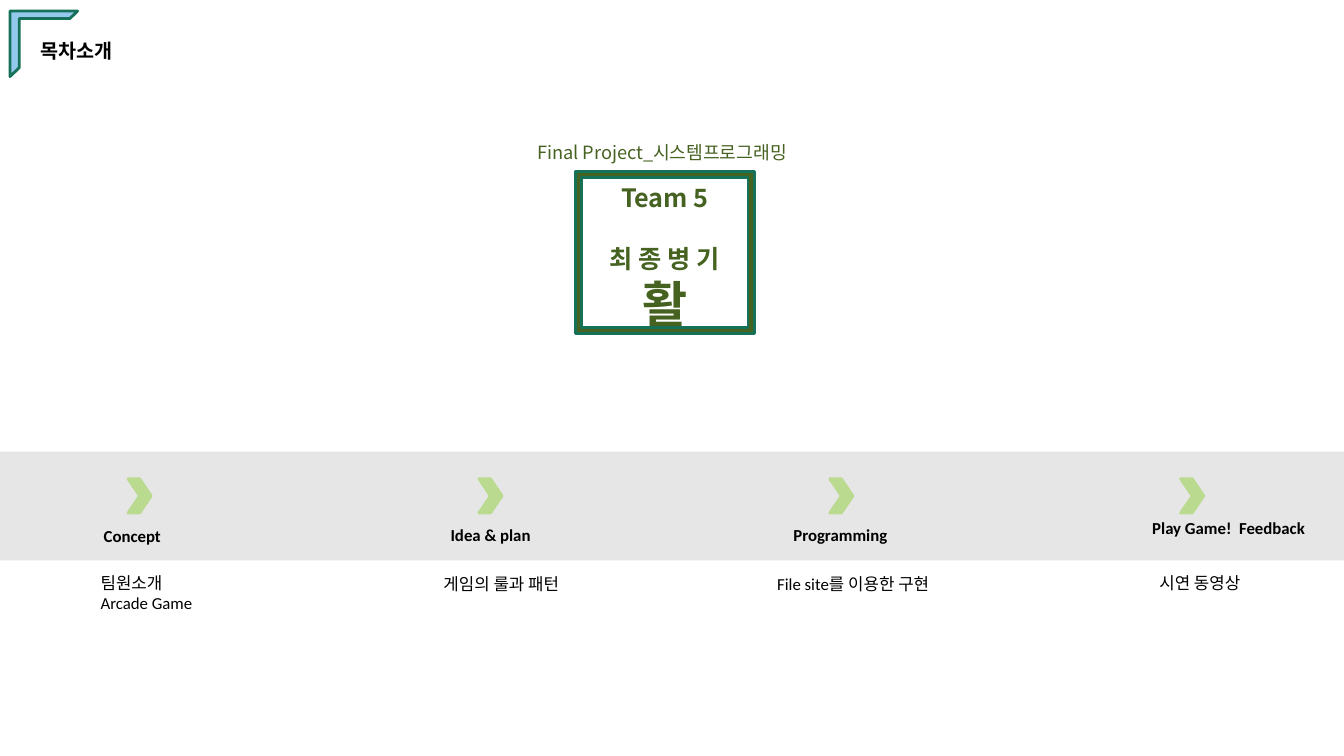
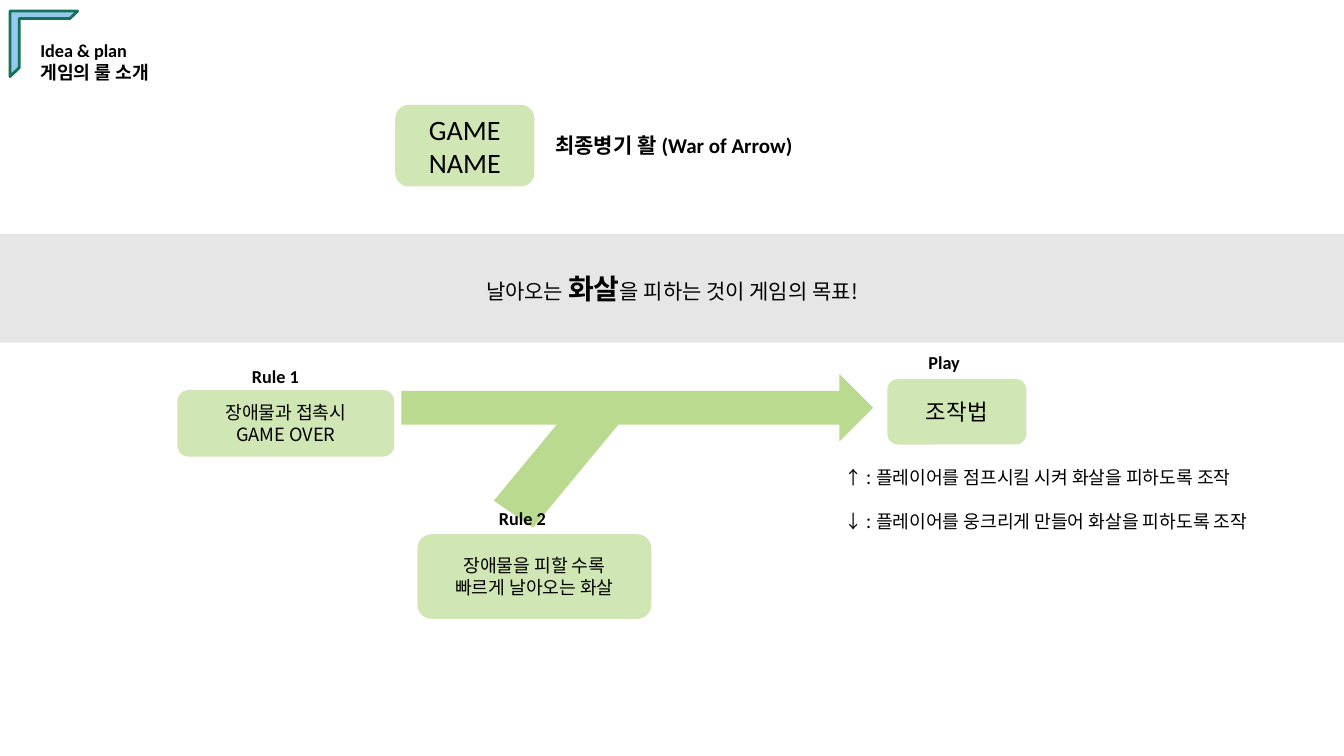
from lxml.etree import SubElement
from pptx import Presentation
from pptx.dml.color import RGBColor
from pptx.enum.shapes import MSO_SHAPE
from pptx.enum.text import MSO_ANCHOR, MSO_AUTO_SIZE, PP_ALIGN
from pptx.oxml.ns import qn
from pptx.util import Emu, Pt

PX = 9144  # 100 px to the inch
WIDE, HIGH = 1333, 750
LATIN, HANGUL = "Calibri", "Noto Sans CJK KR"

BLACK = RGBColor(0x00, 0x00, 0x00)
GRAY = RGBColor(0xE7, 0xE6, 0xE6)
OLIVE = RGBColor(0x46, 0x62, 0x21)
TEAL = RGBColor(0x15, 0x71, 0x58)
SKY = RGBColor(0x94, 0xC8, 0xED)
GREEN = RGBColor(0xB9, 0xDA, 0x8F)
PALE = RGBColor(0xD1, 0xE6, 0xB5)

# label, label left and top, label width, details, details left and top, width
TOPICS = [
    ("Concept", 93, 517, 127, ["팀원소개", "Arcade Game"], 90, 563, 164),
    ("Idea & plan", 437, 516, 131, ["게임의 룰과 패턴"], 430, 564, 164),
    ("Programming", 777, 516, 148, ["File site를 이용한 구현"], 761, 564, 187),
    ("Play Game!  Feedback", 1133, 509, 176, ["시연 동영상"], 1140, 563, 111),
]
CARDS = [
    ((176, 387, 215, 66), ["장애물과 접촉시", "GAME OVER"], 13, HANGUL),
    ((392, 104, 138, 81), ["GAME", "NAME"], 20, LATIN),
    ((414, 530, 232, 84), ["장애물을 피할 수록", "빠르게 날아오는 화살"], 13, LATIN),
    ((880, 376, 138, 65), ["조작법"], 16, LATIN),
]
TAGS = [("Rule 1", 240, 357), ("Rule 2", 485, 498), ("Play", 911, 344)]


def scale(box):
    return [Emu(v * PX) for v in box]


def write(frame, lines, size, name=LATIN, bold=False, color=BLACK,
          align=PP_ALIGN.LEFT, gaps=None):
    """Fill a frame; a line is a string or a list of (text, changed values).

    gaps gives the points of space before a line, by its index.
    """
    base = {"size": size, "name": name, "bold": bold}
    for i, line in enumerate(lines):
        para = frame.paragraphs[0] if i == 0 else frame.add_paragraph()
        para.alignment = align
        para.space_before = Pt((gaps or {}).get(i, 0))
        runs = [(line, {})] if isinstance(line, str) else line
        tall = max(diff.get("size", size) for _, diff in runs)
        para.line_spacing = Pt(round(tall * 1.2, 1))
        for text, diff in runs:
            run = para.add_run()
            run.text = text
            form = {**base, **diff}
            form["size"] = Pt(form["size"])
            for key, value in form.items():
                setattr(run.font, key, value)
            run.font.color.rgb = color
            SubElement(run.font._element, qn("a:ea"), typeface=HANGUL)


def add_text(slide, box, lines, size, wrap=True, **form):
    frame = slide.shapes.add_textbox(*scale(box)).text_frame
    frame.word_wrap = wrap
    write(frame, lines, size, **form)


def add_form(slide, kind, box, fill, line=None, adjust=(), turn=0):
    form = slide.shapes.add_shape(kind, *scale(box))
    form.shadow.inherit = False
    form.fill.solid()
    form.fill.fore_color.rgb = fill
    if line is None:
        form.line.fill.background()
    else:
        form.line.color.rgb = line
        form.line.width = Pt(2)
    for i, value in enumerate(adjust):
        form.adjustments[i] = value
    form.rotation = turn
    return form


def add_band(slide, top):
    return add_form(slide, MSO_SHAPE.RECTANGLE, (0, top, WIDE, 108), GRAY)


def add_card(slide, box, lines, size, name):
    card = add_form(slide, MSO_SHAPE.ROUNDED_RECTANGLE, box, PALE)
    write(card.text_frame, lines, size, name=name, align=PP_ALIGN.CENTER)


def start(deck, lines, size, height):
    """Add a slide with its corner mark and title."""
    slide = deck.slides.add_slide(deck.slide_layouts[5])
    add_form(slide, MSO_SHAPE.HALF_FRAME, (10, 11, 67, 65), SKY, TEAL,
             (0.115, 0.141))
    title = slide.shapes.title
    spots = scale((30, 34, 160, height))
    for key, value in zip(("left", "top", "width", "height"), spots):
        setattr(title, key, value)
    frame = title.text_frame
    frame.auto_size = MSO_AUTO_SIZE.NONE
    frame.vertical_anchor = MSO_ANCHOR.TOP
    write(frame, lines, size, bold=True)
    return slide


def add_agenda(deck):
    slide = start(deck, ["목차소개"], 14, 33)
    badge = add_form(slide, MSO_SHAPE.FRAME, (571, 170, 177, 161), OLIVE,
                     TEAL, (0.038,))
    badge.text_frame.vertical_anchor = MSO_ANCHOR.TOP
    write(badge.text_frame,
          ["Team 5", "최 종 병 기", [("활", {"size": 35})]], 18, name=HANGUL,
          bold=True, color=OLIVE, align=PP_ALIGN.CENTER, gaps={1: 21.6})
    add_text(slide, (523, 135, 273, 31), ["Final Project_시스템프로그래밍"], 13,
             wrap=False, name=HANGUL, color=OLIVE)
    add_band(slide, 448)
    for i, (label, x, y, width, notes, left, top, span) in enumerate(TOPICS):
        add_form(slide, MSO_SHAPE.CHEVRON, (127 + 348 * i, 475, 23, 34),
                 GREEN, GREEN, (0.5,))
        add_text(slide, (x, y, width, 30), [label], 12, bold=True)
        add_text(slide, (left, top, span, 10 + 20 * len(notes)), notes, 12)


def add_rules(deck):
    slide = start(deck, ["Idea & plan", "게임의 룰 소개"], 13, 53)
    goal = [("날아오는 ", {}), ("화살", {"size": 20, "bold": True}),
            ("을 피하는 것이 게임의 목표!", {})]
    write(add_band(slide, 232).text_frame, [goal], 15, name=HANGUL,
          align=PP_ALIGN.CENTER)
    add_text(slide, (541, 127, 415, 35), ["최종병기 활 (War of Arrow)"], 15,
             bold=True)
    for card in CARDS:
        add_card(slide, *card)
    add_form(slide, MSO_SHAPE.FLOWCHART_DATA, (522, 393, 59, 132), GREEN,
             turn=34.5)
    add_form(slide, MSO_SHAPE.RIGHT_ARROW, (398, 371, 468, 67), GREEN,
             adjust=(0.5, 0.5))
    add_text(slide, (828, 458, 484, 75),
             ["↑ : 플레이어를 점프시킬 시켜 화살을 피하도록 조작",
              "↓ : 플레이어를 웅크리게 만들어 화살을 피하도록 조작"], 13,
             name=HANGUL, gaps={1: 15.6})
    for tag, left, top in TAGS:
        add_text(slide, (left, top, 111, 31), [tag], 13, bold=True)


def main():
    deck = Presentation()
    deck.slide_width, deck.slide_height = scale((WIDE, HIGH))
    add_agenda(deck)
    add_rules(deck)
    deck.save("out.pptx")


if __name__ == "__main__":
    main()
